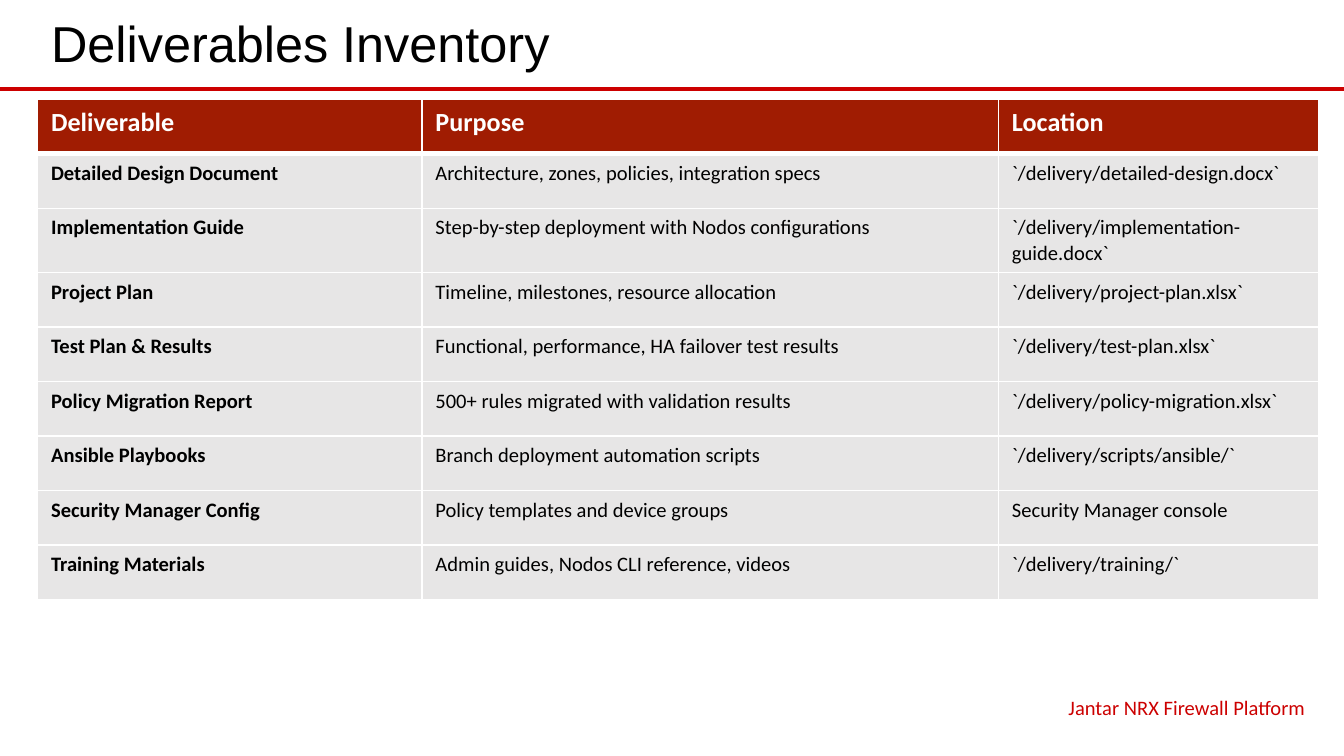
from lxml import etree
from pptx import Presentation
from pptx.dml.color import RGBColor
from pptx.enum import shapes, text
from pptx.oxml import ns
from pptx.util import Inches, Pt

# Content
TITLE = "Deliverables Inventory"
FOOTER = "Jantar NRX Firewall Platform"
HEADER = ("Deliverable", "Purpose", "Location")
DELIVERABLES = [
    ("Detailed Design Document", "Architecture, zones, policies, integration specs",
     "`/delivery/detailed-design.docx`"),
    ("Implementation Guide", "Step-by-step deployment with Nodos configurations",
     "`/delivery/implementation-guide.docx`"),
    ("Project Plan", "Timeline, milestones, resource allocation",
     "`/delivery/project-plan.xlsx`"),
    ("Test Plan & Results", "Functional, performance, HA failover test results",
     "`/delivery/test-plan.xlsx`"),
    ("Policy Migration Report", "500+ rules migrated with validation results",
     "`/delivery/policy-migration.xlsx`"),
    ("Ansible Playbooks", "Branch deployment automation scripts",
     "`/delivery/scripts/ansible/`"),
    ("Security Manager Config", "Policy templates and device groups",
     "Security Manager console"),
    ("Training Materials", "Admin guides, Nodos CLI reference, videos",
     "`/delivery/training/`"),
]

# Layout and colours
SLIDE_WIDTH = Inches(10)
SLIDE_HEIGHT = SLIDE_WIDTH * 9 // 16
LEFT, WIDTH = 0.28, 9.53
TABLE_TOP, TABLE_HEIGHT = 0.74, 3.65
COLUMN_WIDTHS = (2.86, 4.29, 2.38)
RED, DARK_RED, GREY, BLACK, WHITE = "CC0000", "A01C02", "E7E6E6", "000000", "FFFFFF"


def color(value):
    return RGBColor.from_string(value)


def add_run(paragraph, words, size, font_color, font_name="Calibri", bold=False):
    run = paragraph.add_run()
    run.text = words
    run.font.size = Pt(size)
    run.font.name = font_name
    run.font.bold = bold
    run.font.color.rgb = color(font_color)


def set_frame(frame, alignment, anchor):
    frame.word_wrap = True
    frame.auto_size = text.MSO_AUTO_SIZE.NONE
    frame.vertical_anchor = anchor
    frame.paragraphs[0].alignment = alignment
    return frame.paragraphs[0]


def set_borders(cell, bottom_width):
    properties = cell._tc.get_or_add_tcPr()
    widths = {"a:lnL": 1, "a:lnR": 1, "a:lnT": 1, "a:lnB": bottom_width}
    for position, (tag, width) in enumerate(widths.items()):
        line = etree.Element(ns.qn(tag), w=str(Pt(width)))
        fill = etree.SubElement(line, ns.qn("a:solidFill"))
        etree.SubElement(fill, ns.qn("a:srgbClr"), val=WHITE)
        properties.insert(position, line)


presentation = Presentation()
presentation.slide_width, presentation.slide_height = SLIDE_WIDTH, SLIDE_HEIGHT
slide = presentation.slides.add_slide(presentation.slide_layouts[5])

# Rule below the title
rule = slide.shapes.add_connector(
    shapes.MSO_CONNECTOR.STRAIGHT, 0, Inches(0.66), SLIDE_WIDTH, Inches(0.66))
rule.line.color.rgb = color(RED)
rule.line.width = Pt(2.25)
etree.SubElement(rule._element.spPr, ns.qn("a:effectLst"))

# Title
title = slide.shapes.title
title.left, title.top = Inches(LEFT), Inches(0.04)
title.width, title.height = Inches(WIDTH), Inches(0.58)
title_paragraph = set_frame(
    title.text_frame, text.PP_ALIGN.LEFT, text.MSO_ANCHOR.MIDDLE)
title.text_frame.margin_bottom = Inches(0.08)
add_run(title_paragraph, TITLE, 27, BLACK, "Arial")

# Deliverables table
rows = [HEADER] + DELIVERABLES
table = slide.shapes.add_table(
    len(rows), len(HEADER), Inches(LEFT), Inches(TABLE_TOP),
    Inches(WIDTH), Inches(TABLE_HEIGHT)).table
for column, width in zip(table.columns, COLUMN_WIDTHS):
    column.width = Inches(width)
for row_index, row in enumerate(rows):
    is_header = row_index == 0
    for column_index, words in enumerate(row):
        cell = table.cell(row_index, column_index)
        cell.fill.solid()
        cell.fill.fore_color.rgb = color(DARK_RED if is_header else GREY)
        set_borders(cell, 3 if is_header else 1)
        add_run(cell.text_frame.paragraphs[0], words,
                14 if is_header else 11, WHITE if is_header else BLACK,
                bold=is_header or column_index == 0)

# Footer
footer = slide.shapes.add_textbox(Inches(6.29), Inches(5.12), Inches(3.52), Inches(0.26))
footer_paragraph = set_frame(
    footer.text_frame, text.PP_ALIGN.RIGHT, text.MSO_ANCHOR.TOP)
add_run(footer_paragraph, FOOTER, 11, RED)

presentation.save("out.pptx")
